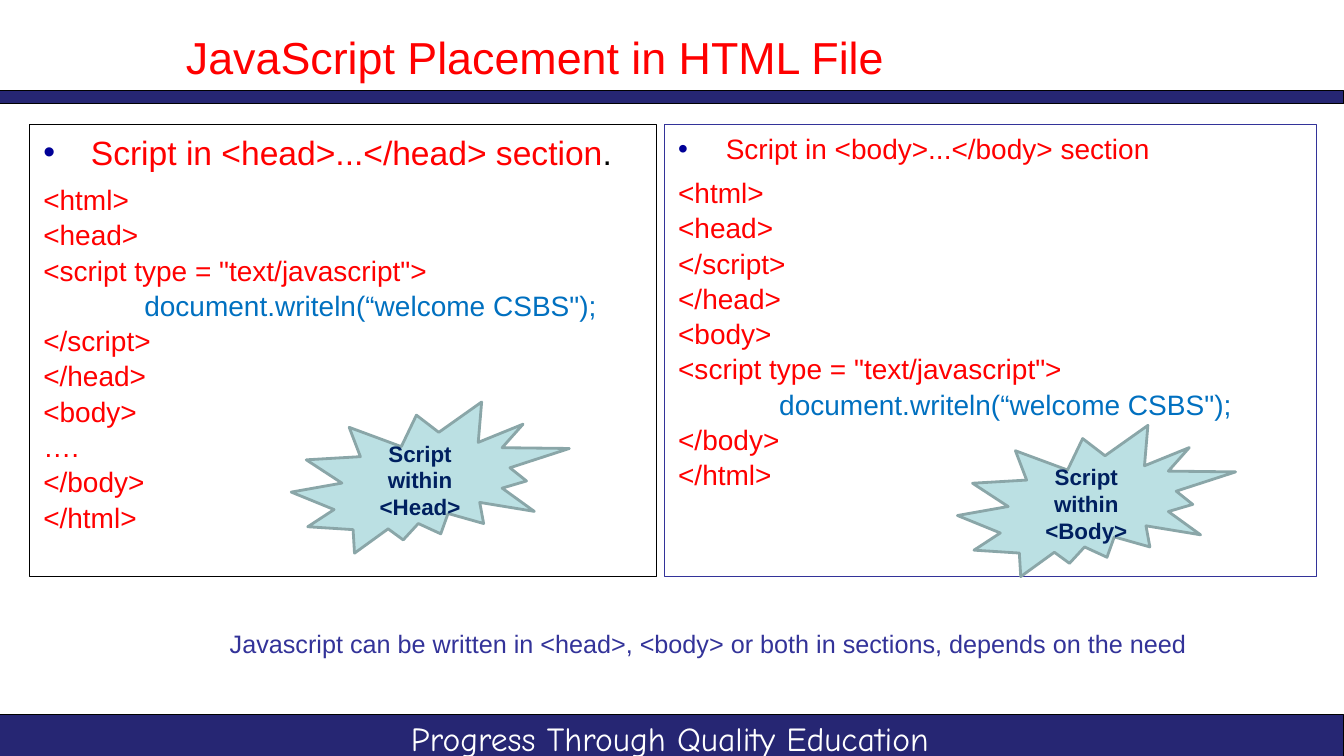
from lxml import etree
from pptx import Presentation
from pptx.dml.color import RGBColor
from pptx.enum.shapes import MSO_SHAPE
from pptx.enum.text import MSO_ANCHOR, MSO_AUTO_SIZE, PP_ALIGN
from pptx.oxml.ns import qn
from pptx.util import Cm, Pt

RECTANGLE, BURST = MSO_SHAPE.RECTANGLE, MSO_SHAPE.EXPLOSION2
TOP, MIDDLE = MSO_ANCHOR.TOP, MSO_ANCHOR.MIDDLE
CENTER, LEFT = PP_ALIGN.CENTER, PP_ALIGN.LEFT
NO_AUTOFIT = MSO_AUTO_SIZE.NONE

RED = RGBColor(0xFF, 0x00, 0x00)
BLUE = RGBColor(0x00, 0x70, 0xC0)
BULLET_BLUE = RGBColor(0x00, 0x00, 0x97)
BAND_BLUE = RGBColor(0x26, 0x26, 0x73)
INDIGO = RGBColor(0x33, 0x33, 0x99)
NAVY = RGBColor(0x00, 0x20, 0x60)
PALE_TEAL = RGBColor(0xBB, 0xE0, 0xE3)
GREY_TEAL = RGBColor(0x8A, 0xA6, 0xA8)
BLACK = RGBColor(0x00, 0x00, 0x00)
WHITE = RGBColor(0xFF, 0xFF, 0xFF)

# Content
TITLE = "JavaScript Placement in HTML File"
NOTE = "Javascript can be written in <head>, <body> or both in sections, depends on the need"
MOTTO = "Progress Through Quality Education"
STATEMENT = '             document.writeln(“welcome CSBS");'
SCRIPT_TAG = '<script type = "text/javascript">'
PANELS = [
    {
        "heading": [("Script in <head>...</head> section", RED), (".", BLACK)],
        "heading_size": 24,
        "code": ["<html>", "<head>", SCRIPT_TAG, STATEMENT, "</script>", "</head>",
                 "<body>", "….", "</body>", "</html>"],
        "left": 0.74, "width": 15.8, "border": BLACK,
        "callout": "Script within <Head>", "callout_at": (7.34, 10.13),
    },
    {
        "heading": [("Script in <body>...</body> section", RED)],
        "heading_size": 20,
        "code": ["<html>", "<head>", "</script>", "</head>", "<body>", SCRIPT_TAG,
                 STATEMENT, "</body>", "</html>"],
        "left": 16.74, "width": 16.43, "border": INDIGO,
        "callout": "Script within <Body>", "callout_at": (24.13, 10.72),
    },
]

# Layout, in centimetres
SLIDE_WIDTH, SLIDE_HEIGHT = 33.87, 19.05
BANDS = [(18.01, 1.17), (2.29, 0.33)]
PANEL_TOP, PANEL_HEIGHT = 3.13, 11.4
CALLOUT_SIZE = (7.01, 3.81)


def place(shape, left, top, width, height):
    shape.left, shape.top = Cm(left), Cm(top)
    shape.width, shape.height = Cm(width), Cm(height)


def set_font(paragraph, size, color, name="Arial", bold=None):
    font = paragraph.font
    font.size, font.name, font.bold = Pt(size), name, bold
    font.color.rgb = color


def set_frame(frame, anchor, top_margin=0.15):
    frame.auto_size, frame.vertical_anchor, frame.word_wrap = NO_AUTOFIT, anchor, True
    frame.margin_left = frame.margin_right = Cm(0.28)
    frame.margin_top, frame.margin_bottom = Cm(top_margin), Cm(0.15)


def set_bullet(paragraph, shown):
    props = paragraph._p.get_or_add_pPr()
    props.set("marL", str(Cm(1.27)))
    props.set("indent", str(Cm(-1.2)))
    if shown:
        color = etree.SubElement(props, qn("a:buClr"))
        etree.SubElement(color, qn("a:srgbClr"), val=str(BULLET_BLUE))
        etree.SubElement(props, qn("a:buFont"), typeface="Arial")
        etree.SubElement(props, qn("a:buChar"), char="•")
    else:
        etree.SubElement(props, qn("a:buNone"))


def add_filled(slide, kind, box, fill, line, line_width):
    shape = slide.shapes.add_shape(kind, *map(Cm, box))
    shape.shadow.inherit = False
    shape.fill.solid()
    shape.fill.fore_color.rgb = fill
    shape.line.color.rgb = line
    shape.line.width = Pt(line_width)
    return shape


def add_label(slide, box, text, size, color, name, align, wrap):
    label = slide.shapes.add_textbox(*map(Cm, box))
    label.text_frame.word_wrap = wrap
    paragraph = label.text_frame.paragraphs[0]
    paragraph.text, paragraph.alignment = text, align
    set_font(paragraph, size, color, name)


def fill_panel(body, panel):
    place(body, panel["left"], PANEL_TOP, panel["width"], PANEL_HEIGHT)
    body.line.color.rgb = panel["border"]
    body.line.width = Pt(0.75)
    frame = body.text_frame
    set_frame(frame, TOP)

    heading = frame.paragraphs[0]
    set_bullet(heading, True)
    set_font(heading, panel["heading_size"], RED)
    for text, color in panel["heading"]:
        run = heading.add_run()
        run.text = text
        run.font.color.rgb = color
    heading.space_before, heading.space_after = Pt(0), Pt(6)
    heading.line_spacing = 1.05

    for code_line in panel["code"]:
        paragraph = frame.add_paragraph()
        paragraph.text = code_line
        set_bullet(paragraph, False)
        set_font(paragraph, 20, BLUE if code_line == STATEMENT else RED)
        paragraph.space_before = paragraph.space_after = Pt(0)
        paragraph.line_spacing = 1.05


def add_callout(slide, panel):
    burst = add_filled(slide, BURST, panel["callout_at"] + CALLOUT_SIZE,
                       PALE_TEAL, GREY_TEAL, 2)
    burst.text_frame.word_wrap = True
    burst.text_frame.vertical_anchor = MIDDLE
    paragraph = burst.text_frame.paragraphs[0]
    paragraph.text, paragraph.alignment = panel["callout"], CENTER
    set_font(paragraph, 16, NAVY, bold=True)


def main():
    deck = Presentation()
    deck.slide_width, deck.slide_height = Cm(SLIDE_WIDTH), Cm(SLIDE_HEIGHT)
    slide = deck.slides.add_slide(deck.slide_layouts[3])
    title, *bodies = slide.placeholders

    # Bands and motto
    for top, height in BANDS:
        add_filled(slide, RECTANGLE, (0, top, SLIDE_WIDTH, height), BAND_BLUE, BLACK, 0.75)
    add_label(slide, (8.84, 17.96, 16.08, 1.35), MOTTO, 24, WHITE, "Comic Neue", CENTER, True)

    # Title
    place(title, 0.64, 0.51, 25.7, 1.5)
    set_frame(title.text_frame, TOP, 0.25)
    heading = title.text_frame.paragraphs[0]
    heading.text, heading.alignment = TITLE, CENTER
    set_font(heading, 32, RED)

    # Code panels with their callouts
    for body, panel in zip(bodies, PANELS):
        fill_panel(body, panel)
        add_callout(slide, panel)

    # Closing note
    add_label(slide, (5.54, 15.72, 24.66, 1.02), NOTE, 18, INDIGO, "Arial", LEFT, False)

    deck.save("out.pptx")


if __name__ == "__main__":
    main()
